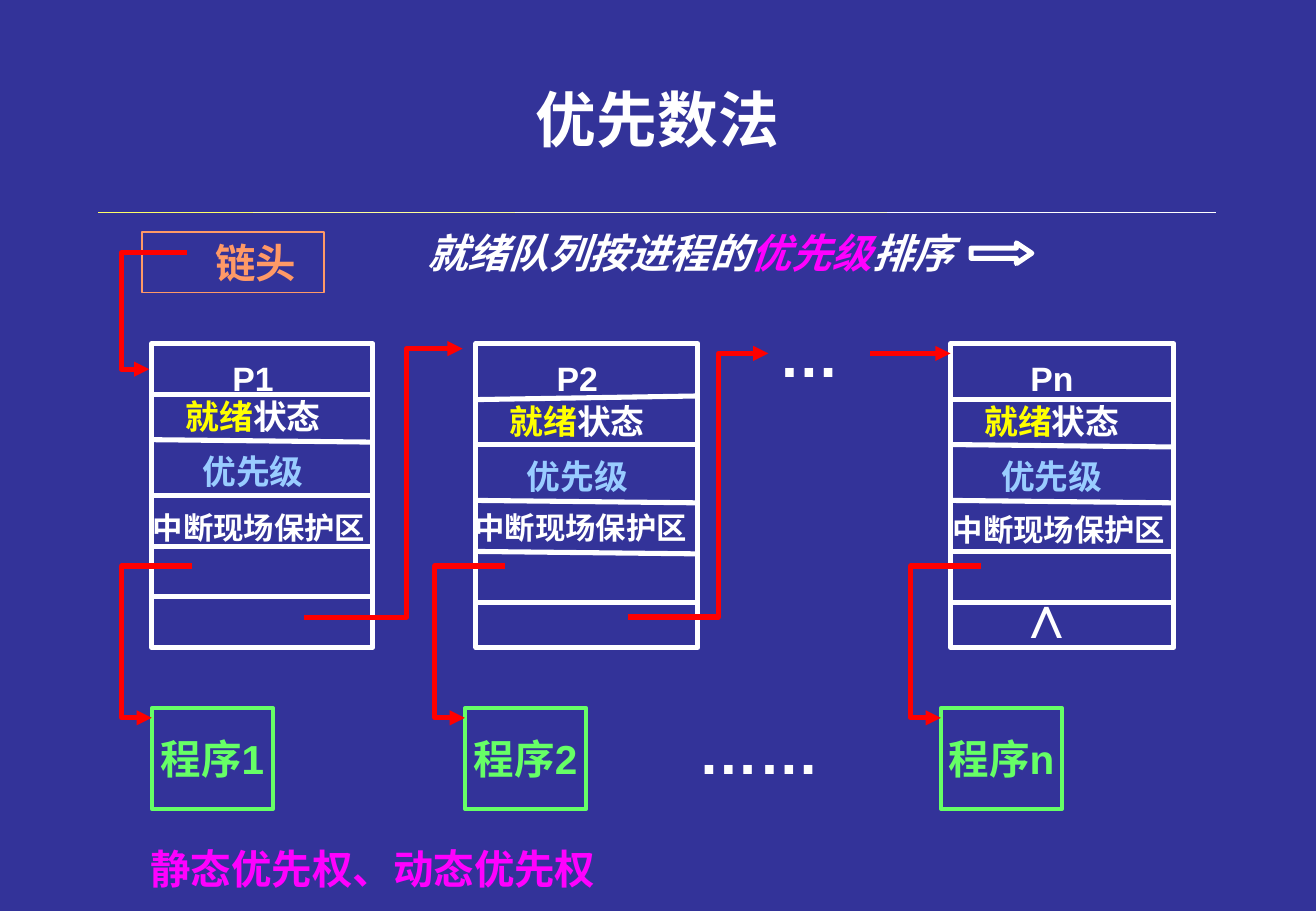
from dataclasses import dataclass

from lxml import etree
from pptx import Presentation
from pptx.dml.color import RGBColor
from pptx.enum.shapes import MSO_CONNECTOR, MSO_SHAPE
from pptx.enum.text import MSO_ANCHOR, PP_ALIGN
from pptx.oxml.ns import qn
from pptx.util import Pt

PX = 9144  # one px is 1/100 inch
RECT, ARROW = MSO_SHAPE.RECTANGLE, MSO_SHAPE.RIGHT_ARROW
STRAIGHT = MSO_CONNECTOR.STRAIGHT
MIDDLE = MSO_ANCHOR.MIDDLE
LEFT, CENTER = PP_ALIGN.LEFT, PP_ALIGN.CENTER
LATIN, HAN = "Arial", "Noto Sans CJK JP"

COLORS = {
    "back": "333399", "white": "FFFFFF", "red": "FF0000", "green": "66FF66",
    "orange": "FF9966", "pink": "FF00FF", "yellow": "FFFF00", "sky": "99CCFF",
    "rule1": "FFFF66", "rule2": "FFFF99", "rule3": "FFFFCC",
}

Point = tuple[int, int]
Run = tuple[str, str]  # text, colour name


@dataclass
class Block:
    """Control block of one process and its program."""
    name: str
    left: int
    width: int
    rows: list[Point]  # divider heights at the left and right side
    state: int  # top of the state text
    save: Point  # left and top of the save area text
    prog: int  # left of the program box


@dataclass
class Label:
    """Text box."""
    left: int
    top: int
    width: int
    height: int
    runs: list[Run]
    size: int
    align: PP_ALIGN = CENTER
    slant: bool = False


BLOCKS = [
    Block("1", 125, 182, [(325, 325), (362, 364), (408, 408), (450, 450), (491, 491)],
          321, (116, 414), 125),
    Block("2", 392, 183, [(329, 326), (366, 366), (412, 414), (454, 456), (496, 496)],
          325, (381, 414), 383),
    Block("n", 783, 184, [(329, 329), (366, 368), (412, 414), (454, 454), (496, 496)],
          325, (775, 416), 775),
]

LABELS = [
    Label(600, 256, 133, 70, [("…", "white")], 36),
    Label(525, 583, 200, 70, [("……", "white")], 36),
    Label(808, 471, 108, 70, [("∧", "white")], 36),
    Label(342, 183, 608, 50, [("就绪队列按进程的", "white"), ("优先级", "pink"),
                              ("排序", "white")], 24, LEFT, True),
    Label(114, 690, 483, 50, [("静态优先权、动态优先权", "pink")], 24, LEFT),
]

LINKS = [
    [(154, 208), (100, 208), (100, 304), (123, 304)],
    [(250, 508), (335, 508), (335, 287), (381, 287)],
    [(517, 508), (592, 508), (592, 291), (633, 291)],
]

RULE = [(81, 208, "rule1"), (208, 424, "rule2"), (424, 731, "rule3"), (731, 1002, "white")]


def rgb(name: str) -> RGBColor:
    return RGBColor.from_string(COLORS[name])


def write(frame, runs: list[Run], size: int, align: PP_ALIGN = CENTER,
          slant: bool = False, face: str = LATIN) -> None:
    para = frame.paragraphs[0]
    para.alignment = align
    look = {"name": face, "size": Pt(size), "bold": True, "italic": slant}
    for text, color in runs:
        run = para.add_run()
        run.text = text
        for key, value in look.items():
            setattr(run.font, key, value)
        run.font.color.rgb = rgb(color)
        east = etree.SubElement(run.font._element, qn("a:ea"))
        east.set("typeface", HAN)


def stroke(item, color: str, weight: float, head: bool = False) -> None:
    item.line.color.rgb = rgb(color)
    item.line.width = Pt(weight)
    if head:
        tip = etree.SubElement(item.line._get_or_add_ln(), qn("a:tailEnd"))
        tip.set("type", "triangle")


def add_label(slide, label: Label) -> None:
    box = slide.shapes.add_textbox(label.left * PX, label.top * PX,
                                   label.width * PX, label.height * PX)
    box.text_frame.word_wrap = True
    write(box.text_frame, label.runs, label.size, label.align, label.slant)


def add_box(slide, kind: MSO_SHAPE, left: int, top: int, width: int, height: int,
            color: str, weight: float, text: str = ""):
    box = slide.shapes.add_shape(kind, left * PX, top * PX, width * PX, height * PX)
    box.shadow.inherit = False
    box.fill.background()
    stroke(box, color, weight)
    if text:
        box.text_frame.word_wrap = False
        box.text_frame.vertical_anchor = MIDDLE
        write(box.text_frame, [(text, color)], 24)
    return box


def add_line(slide, start: Point, end: Point, color: str, weight: float,
             head: bool = False) -> None:
    line = slide.shapes.add_connector(STRAIGHT, *(n * PX for n in start + end))
    stroke(line, color, weight, head)
    etree.SubElement(line._element.spPr, qn("a:effectLst"))


def add_link(slide, points: list[Point]) -> None:
    pen = slide.shapes.build_freeform(*points[0], scale=PX)
    pen.add_line_segments(points[1:], close=False)
    link = pen.convert_to_shape()
    link.shadow.inherit = False
    link.fill.background()
    stroke(link, "red", 3, True)


def add_block(slide, block: Block) -> None:
    left, right = block.left, block.left + block.width
    add_box(slide, RECT, left, 283, block.width, 250, "white", 3)
    for start, end in block.rows:
        add_line(slide, (left, start), (right, end), "white", 3)
    texts = [
        Label(left + 25, 290, 117, 44, [("P" + block.name, "white")], 20),
        Label(left + 17, block.state, 133, 44,
              [("就绪", "yellow"), ("状态", "white")], 20),
        Label(left + 17, block.state + 45, 133, 44, [("优先级", "sky")], 20),
        Label(*block.save, 208, 40, [("中断现场保护区", "white")], 18, LEFT),
    ]
    for text in texts:
        add_label(slide, text)
    # Program and its link
    prog = block.prog
    add_box(slide, RECT, prog, 583, 100, 83, "green", 2.25, "程序" + block.name)
    add_link(slide, [(prog + 33, 466), (prog - 25, 466), (prog - 25, 591), (prog, 591)])


def main() -> None:
    deck = Presentation()
    deck.slide_width, deck.slide_height = 1084 * PX, 750 * PX
    slide = deck.slides.add_slide(deck.slide_layouts[5])
    slide.background.fill.solid()
    slide.background.fill.fore_color.rgb = rgb("back")

    # Title and rule
    title = slide.shapes.title
    place = {"left": 81, "top": 47, "width": 921, "height": 100}
    for key, value in place.items():
        setattr(title, key, value * PX)
    title.text_frame.vertical_anchor = MIDDLE
    write(title.text_frame, [("优先数法", "white")], 36, face=HAN)
    for start, end, color in RULE:
        add_line(slide, (start, 175), (end, 175), color, 0.75)

    # Queue head and sort order
    head = add_box(slide, RECT, 117, 191, 150, 50, "orange", 0.75, "链头")
    head.text_frame.margin_left = 47 * PX
    order = add_box(slide, ARROW, 800, 200, 50, 17, "white", 3)
    order.adjustments[1] = 0.75

    # Processes, links and free text
    for block in BLOCKS:
        add_block(slide, block)
    for link in LINKS:
        add_link(slide, link)
    add_line(slide, (717, 291), (783, 291), "red", 3, True)
    for label in LABELS:
        add_label(slide, label)

    deck.save("out.pptx")


if __name__ == "__main__":
    main()
